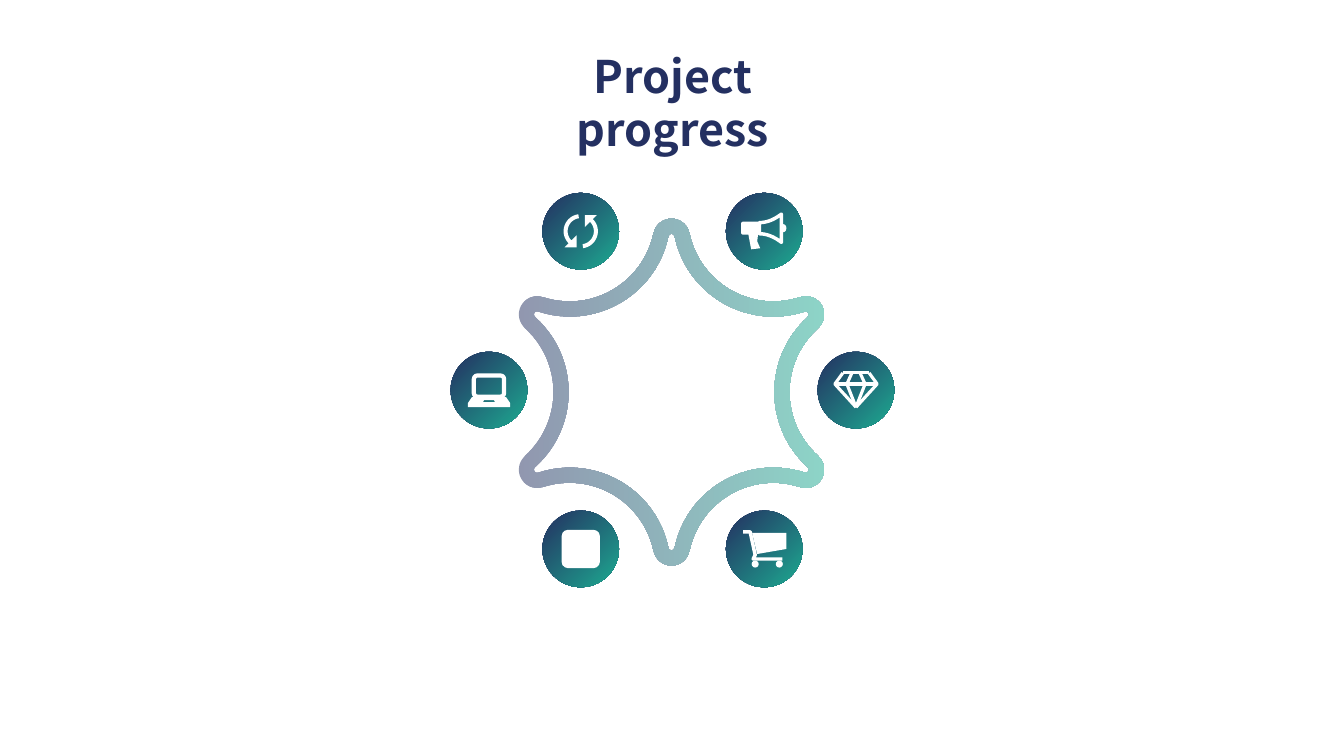
from math import atan2, cos, degrees, radians, sin

from lxml import etree
from pptx import Presentation, util as u
from pptx.dml.color import RGBColor
from pptx.enum import shapes, text
from pptx.oxml.ns import qn

NAVY, TEAL, WHITE = "243061", "1DAA91", "FFFFFF"
FONT = "Noto Sans CJK SC"
OVAL, ROUNDED = shapes.MSO_SHAPE.OVAL, shapes.MSO_SHAPE.ROUNDED_RECTANGLE
STAR_CENTER, BADGE_CENTER = (6.66, 3.89), (6.67, 3.87)
BADGE_DISTANCE, BADGE_SIZE = 1.82, .76
POINTS = 6
STEP = 360 / POINTS


def rgb(value):
    return RGBColor.from_string(value)


def set_gradient(fill, clockwise_angle, opacity=None):
    """Blend navy into teal; opacity is in percent."""
    fill.gradient()
    fill.gradient_angle = -clockwise_angle % 360
    for stop, color in zip(fill.gradient_stops, (NAVY, TEAL)):
        stop.color.rgb = rgb(color)
    if opacity:
        for color in fill._xPr.iter(qn("a:srgbClr")):
            etree.SubElement(color, qn("a:alpha"), val=str(opacity * 1000))


def paint(shape, stroke=None):
    """Make a shape solid white, or a white line of stroke points without fill."""
    shape.shadow.inherit = False
    if stroke:
        shape.fill.background()
        shape.line.color.rgb = rgb(WHITE)
        shape.line.width = u.Pt(stroke)
    else:
        shape.fill.solid()
        shape.fill.fore_color.rgb = rgb(WHITE)
        shape.line.fill.background()
    return shape


def shift(center, offset):
    return center[0] + offset[0], center[1] + offset[1]


def add_preset(slide, kind, center, width, height, stroke=None):
    left, top = shift(center, (-width / 2, -height / 2))
    box = [u.Inches(v) for v in (left, top, width, height)]
    return paint(slide.shapes.add_shape(kind, *box), stroke)


def add_outline(slide, center, contours, stroke=None, close=True):
    """Draw contours, given around center, as one shape; inner contours are holes."""
    builder = None
    for contour in contours:
        start, *rest = [tuple(u.Inches(v) for v in shift(center, point)) for point in contour]
        if builder:
            builder.move_to(*start)
        else:
            builder = slide.shapes.build_freeform(*start)
        builder.add_line_segments(rest, close=close)
    return paint(builder.convert_to_shape(), stroke)


def mirror(points):
    """Flip left and right."""
    return [(-x, y) for x, y in points]


def polar(radius, angle):
    return radius * cos(radians(angle)), radius * sin(radians(angle))


def arc(center, radius, start, end, steps=24):
    return [shift(center, polar(radius, start + (end - start) * i / steps))
            for i in range(steps + 1)]


def star_contour(tip_radius, valley_radius, tip_distance=1.54, valley_distance=2.02):
    """Rounded tips joined by tangent concave arcs, whose centers lie between the tips."""
    half = STEP / 2
    valley_x, valley_y = polar(valley_distance, half)
    tip_x, tip_y = polar(tip_distance, half)
    tip_sweep = degrees(atan2(valley_y, valley_x - tip_distance))
    valley_sweep = degrees(atan2(tip_y, valley_distance - tip_x))
    contour = []
    for i in range(POINTS):
        tip = i * STEP - 90
        valley = tip + half
        inward = valley + 180
        contour += arc(polar(tip_distance, tip), tip_radius, tip - tip_sweep, tip + tip_sweep)
        contour += arc(polar(valley_distance, valley), valley_radius,
                       inward + valley_sweep, inward - valley_sweep)
    return contour


def add_megaphone(slide, center):
    axis, throat_x, mouth_x, samples = -.03, -.05, .17, 12
    flare = []
    for i in range(samples + 1):
        t = i / samples
        flare.append((throat_x + (mouth_x - throat_x) * t, .055 + .085 * t * t))
    upper = [(x, axis - spread) for x, spread in flare]
    lower = [(x, axis + spread) for x, spread in reversed(flare)]
    grip = [(-.16, .02), (-.06, .02), (-.07, .1), (-.04, .17), (-.13, .18)]
    add_outline(slide, center, [upper + lower], stroke=2.5)
    add_preset(slide, ROUNDED, shift(center, (-.13, axis)), .2, .13)
    add_outline(slide, center, [grip])
    add_preset(slide, OVAL, shift(center, (mouth_x + .02, axis)), .06, .08)


def add_diamond(slide, center):
    table_y, girdle_y = -.17, -.06
    tip = (0, .17)
    table, girdle = (.13, table_y), (.21, girdle_y)
    facet = [(.04, table_y), (.09, girdle_y), tip]
    right_side = [table, girdle, tip]
    edges = [right_side, mirror(right_side), facet, mirror(facet),
             [table, *mirror([table])], [girdle, *mirror([girdle])]]
    add_outline(slide, center, edges, stroke=2.25, close=False)


def add_cart(slide, center):
    frame = [(-.21, -.17), (-.14, -.17), (-.09, .06), (-.11, .1), (.18, .1)]
    basket = [(-.12, -.16), (.22, -.16), (.22, 0), (-.07, .05)]
    add_outline(slide, center, [frame], stroke=2.5, close=False)
    add_outline(slide, center, [basket])
    for wheel_x in (-.09, .15):
        add_preset(slide, OVAL, shift(center, (wheel_x, .15)), .07, .07)


def add_panel(slide, center):
    add_preset(slide, ROUNDED, center, .38, .38)


def add_laptop(slide, center):
    edge = [(.17, .07), (.21, .13), (.21, .17)]
    notch = [(.05, .1), (.06, .12)]
    add_preset(slide, ROUNDED, shift(center, (0, -.04)), .3, .21, stroke=3)
    add_outline(slide, center, [part + mirror(part)[::-1] for part in (edge, notch)])


def add_cycle(slide, center):
    """Two half rings with arrowheads, each the other turned by 180 degrees."""
    middle, outer, inner = (0, 0), .17, .13
    tail, neck = 82, -45
    head = [(.16, -.16), (.04, -.16), (.04, -.04)]
    arrow = arc(middle, outer, tail, neck) + head + arc(middle, inner, neck, tail)
    add_outline(slide, center, [arrow, [(-x, -y) for x, y in arrow]])


def add_badge(slide, angle, add_icon):
    center = shift(BADGE_CENTER, polar(BADGE_DISTANCE, angle))
    badge = add_preset(slide, OVAL, center, BADGE_SIZE, BADGE_SIZE)
    set_gradient(badge.fill, 45)
    add_icon(slide, center)


def add_text(slide, words, left, top, width, height, size, bold=False,
             align=text.PP_ALIGN.CENTER, line_height=None):
    box = slide.shapes.add_textbox(*[u.Inches(v) for v in (left, top, width, height)])
    frame = box.text_frame
    frame.word_wrap = True
    paragraph = frame.paragraphs[0]
    paragraph.alignment = align
    if line_height:
        paragraph.line_spacing = u.Pt(line_height)
    run = paragraph.add_run()
    run.text = words
    run.font.size, run.font.bold, run.font.name = u.Pt(size), bold, FONT
    set_gradient(run.font.fill, 225)


def main():
    deck = Presentation()
    deck.slide_width, deck.slide_height = u.Inches(13.33), u.Inches(7.5)
    slide = deck.slides.add_slide(deck.slide_layouts[6])

    outer_edge, inner_edge = star_contour(.18, .85), star_contour(.03, 1)
    star = add_outline(slide, STAR_CENTER, [outer_edge, inner_edge])
    set_gradient(star.fill, 0, opacity=50)

    clockwise = [add_megaphone, add_diamond, add_cart, add_panel, add_laptop, add_cycle]
    for i, add_icon in enumerate(clockwise):
        add_badge(slide, (i - 1) * STEP, add_icon)

    add_text(slide, "Project progress", 5.15, .43, 3.05, 1.18, size=32, bold=True,
             line_height=38.4)
    deck.save("out.pptx")


if __name__ == "__main__":
    main()
